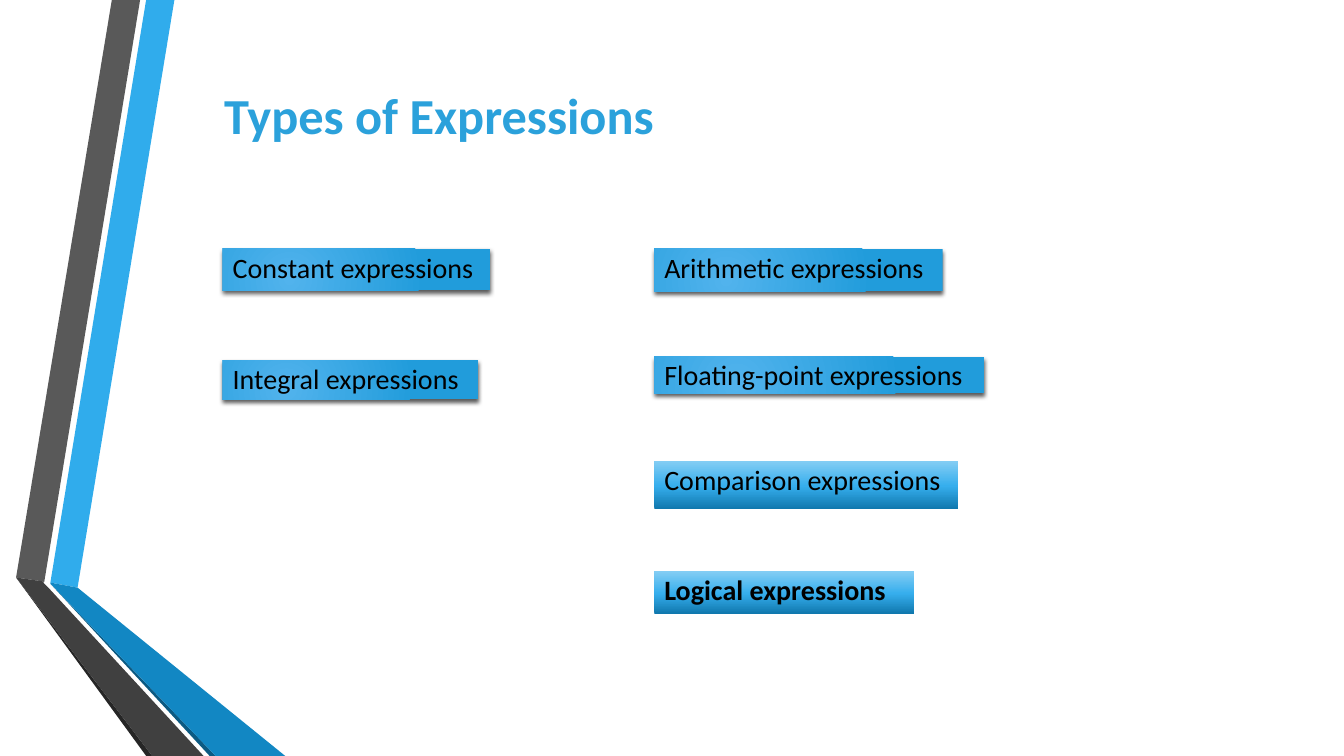
from dataclasses import dataclass

from lxml import etree
from pptx import Presentation
from pptx.dml.color import RGBColor
from pptx.enum.shapes import MSO_SHAPE
from pptx.enum.text import MSO_ANCHOR, PP_ALIGN
from pptx.oxml import parse_xml
from pptx.oxml.ns import nsdecls, qn
from pptx.shapes.autoshape import Shape
from pptx.slide import Slide
from pptx.text.text import TextFrame
from pptx.util import Inches, Pt

RECTANGLE = MSO_SHAPE.RECTANGLE
LEFT, CENTER = PP_ALIGN.LEFT, PP_ALIGN.CENTER
TOP, MIDDLE = MSO_ANCHOR.TOP, MSO_ANCHOR.MIDDLE

BLACK = RGBColor(0x00, 0x00, 0x00)
TITLE_BLUE = RGBColor(0x2B, 0xA1, 0xDB)
SKY = RGBColor(0x30, 0xAC, 0xEC)
OCEAN = RGBColor(0x12, 0x87, 0xC3)
NAVY = RGBColor(0x0C, 0x5A, 0x82)
GREY = RGBColor(0x59, 0x59, 0x59)
DARK_GREY = RGBColor(0x40, 0x40, 0x40)
CHARCOAL = RGBColor(0x26, 0x26, 0x26)
GLOW_LIGHT = RGBColor(0x51, 0xB3, 0xED)
GLOW_DARK = RGBColor(0x21, 0x9C, 0xDB)
FADE_DARK = RGBColor(0x10, 0x78, 0xAE)
FADE_MIDDLE = RGBColor(0x36, 0xAE, 0xED)
FADE_LIGHT = RGBColor(0x83, 0xCD, 0xF4)

FONT = "Calibri"

# Grid of the labels, in inches
GRID_LEFT, GRID_TOP = 2.21, 2.47
COLUMN_PITCH, ROW_PITCH = 4.28, 1.07

HUNDREDTH_INCH = Inches(0.01)


@dataclass(frozen=True)
class Band:
    color: RGBColor
    points: tuple[tuple[int, int], ...]  # hundredths of an inch


@dataclass(frozen=True)
class Gradient:
    stops: tuple[tuple[int, RGBColor], ...]  # percent, colour
    direction: str


@dataclass(frozen=True)
class Label:
    text: str
    column: float
    row: float
    width: float
    height: float
    gradient: Gradient
    shadow: bool = True
    bold: bool = False


GLOW = Gradient(
    ((0, GLOW_LIGHT), (100, GLOW_DARK)),
    '<a:path path="circle"><a:fillToRect l="50000" t="100000" r="100000" b="50000"/></a:path>',
)
FADE = Gradient(
    ((0, FADE_DARK), (48, FADE_MIDDLE), (100, FADE_LIGHT)),
    '<a:lin ang="16200000" scaled="0"/>',
)

BANDS = (
    Band(SKY, ((50, 578), (77, 583), (173, 0), (145, 0))),
    Band(GREY, ((139, 0), (111, 0), (16, 573), (44, 577))),
    Band(CHARCOAL, ((16, 573), (145, 750), (151, 750))),
    Band(NAVY, ((50, 579), (208, 750), (214, 750))),
    Band(OCEAN, ((50, 579), (214, 750), (283, 750), (77, 583), (50, 578))),
    Band(DARK_GREY, ((202, 750), (48, 583), (43, 578), (44, 577), (16, 573), (151, 750))),
)

LABELS = (
    Label("Constant expressions", 0, 0, 2.65, 0.41, GLOW),
    Label("Arithmetic expressions", 1, 0, 2.86, 0.42, GLOW),
    Label("Floating-point expressions", 1, 1, 3.27, 0.36, GLOW),
    Label("Comparison expressions", 1, 1.97, 3.01, 0.47, FADE, shadow=False),
    Label("Logical expressions", 1, 2.99, 2.58, 0.42, FADE, shadow=False, bold=True),
    Label("Integral expressions", 0, 1.03, 2.53, 0.39, GLOW),
)


def write_text(frame: TextFrame, text: str, size: float, color: RGBColor,
               bold: bool, alignment: PP_ALIGN, anchor: MSO_ANCHOR) -> None:
    frame.text = text
    frame.word_wrap = True
    frame.vertical_anchor = anchor
    paragraph = frame.paragraphs[0]
    paragraph.alignment = alignment
    paragraph.line_spacing = 0.9
    paragraph.space_before = Pt(0)
    font = paragraph.runs[0].font
    font.name, font.size, font.bold = FONT, Pt(size), bold
    font.color.rgb = color


def draw_band(slide: Slide, band: Band) -> None:
    builder = slide.shapes.build_freeform(*band.points[0], scale=HUNDREDTH_INCH)
    builder.add_line_segments(band.points[1:], close=True)
    shape = builder.convert_to_shape()
    shape.shadow.inherit = False
    shape.fill.solid()
    shape.fill.fore_color.rgb = band.color
    shape.line.fill.background()


def apply_gradient(shape: Shape, gradient: Gradient) -> None:
    stops = "".join(
        f'<a:gs pos="{percent * 1000}"><a:srgbClr val="{color}"/></a:gs>'
        for percent, color in gradient.stops
    )
    shape.fill.gradient()
    properties = shape._element.spPr
    properties.replace(properties.find(qn("a:gradFill")), parse_xml(
        f'<a:gradFill {nsdecls("a")} rotWithShape="1"><a:gsLst>{stops}</a:gsLst>'
        f'{gradient.direction}</a:gradFill>'))


def apply_shadow(shape: Shape) -> None:
    effects = shape._element.spPr.find(qn("a:effectLst"))
    shadow = etree.SubElement(effects, qn("a:outerShdw"), blurRad=str(Pt(3)),
                              dist=str(Pt(2)), dir="5400000", rotWithShape="0")
    color = etree.SubElement(shadow, qn("a:srgbClr"), val=str(BLACK))
    etree.SubElement(color, qn("a:alpha"), val="64000")


def draw_label(slide: Slide, label: Label) -> None:
    shape = slide.shapes.add_shape(
        RECTANGLE,
        Inches(GRID_LEFT + label.column * COLUMN_PITCH),
        Inches(GRID_TOP + label.row * ROW_PITCH),
        Inches(label.width), Inches(label.height))
    shape.line.fill.background()
    shape.shadow.inherit = False
    apply_gradient(shape, label.gradient)
    if label.shadow:
        apply_shadow(shape)
    write_text(shape.text_frame, label.text, 20, BLACK, label.bold, LEFT, TOP)


def main() -> None:
    presentation = Presentation()
    presentation.slide_width, presentation.slide_height = Inches(13.33), Inches(7.5)
    slide = presentation.slides.add_slide(presentation.slide_layouts[5])

    # Title
    title = slide.shapes.title
    title.left, title.top = Inches(1.84), Inches(0.82)
    title.width, title.height = Inches(5.03), Inches(0.71)
    write_text(title.text_frame, "Types of Expressions", 36, TITLE_BLUE, True, CENTER, MIDDLE)

    # Folded bands on the left edge
    for band in BANDS:
        draw_band(slide, band)

    # Expression types
    for label in LABELS:
        draw_label(slide, label)

    presentation.save("out.pptx")


if __name__ == "__main__":
    main()
